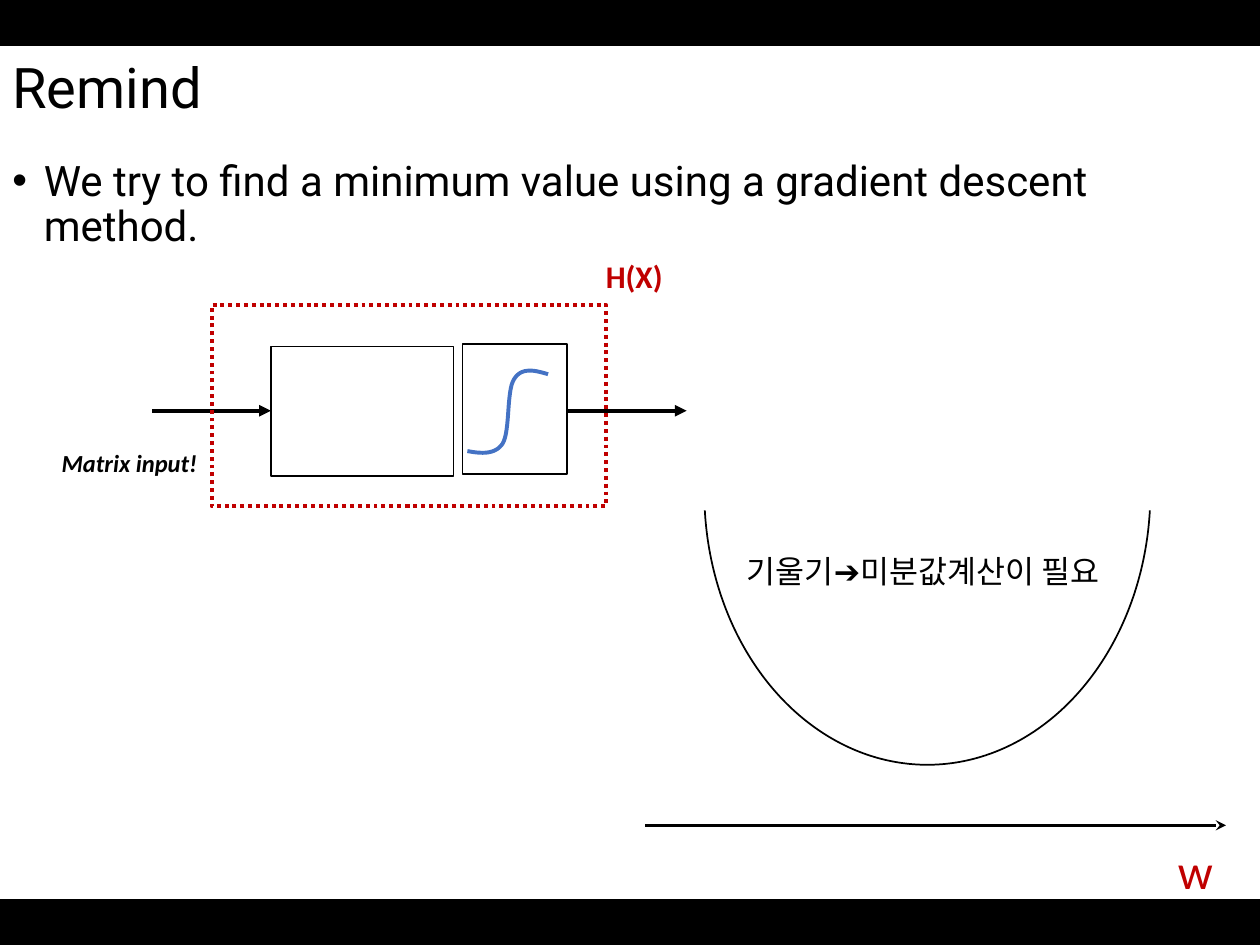
import dataclasses

import pptx
import pptx.dml.color
import pptx.enum.dml
import pptx.enum.shapes
import pptx.enum.text
import pptx.oxml.ns
import pptx.util
from pptx.util import Inches

SHAPE = pptx.enum.shapes.MSO_SHAPE


@dataclasses.dataclass(frozen=True)
class Theme:
    """Colours, fonts and type sizes of the slide."""
    black: str = "000000"
    white: str = "FFFFFF"
    red: str = "C00000"
    blue: str = "4472C4"
    head: str = "Roboto"
    label: str = "Calibri"
    title: int = 32
    body: int = 24
    axis: int = 28
    mark: int = 18
    note: int = 14


THEME = Theme()


def color(code):
    """Turn a hex code into a colour."""
    return pptx.dml.color.RGBColor.from_string(code)


def child(parent, tag, **attrs):
    """Append a drawing element to a parent."""
    node = parent.makeelement(pptx.oxml.ns.qn(tag), attrs)
    parent.append(node)
    return node


def style(shape, fill=None, line=None, width=1):
    """Set the fill and outline of a shape."""
    shape.shadow.inherit = False
    if fill:
        shape.fill.solid()
        shape.fill.fore_color.rgb = color(fill)
    else:
        shape.fill.background()
    if line:
        shape.line.color.rgb = color(line)
        shape.line.width = pptx.util.Pt(width)
    else:
        shape.line.fill.background()


def block(slide, box, kind=SHAPE.RECTANGLE, **look):
    """Add a preset shape in a box given in inches."""
    shape = slide.shapes.add_shape(kind, *map(Inches, box))
    style(shape, **look)
    return shape


def arrow(slide, start, end, width, tip):
    """Draw a line that ends in an arrowhead."""
    line = slide.shapes.add_connector(
        pptx.enum.shapes.MSO_CONNECTOR.STRAIGHT, *map(Inches, start + end))
    line.line.color.rgb = color(THEME.black)
    line.line.width = pptx.util.Pt(width)
    child(line.line._get_or_add_ln(), "a:tailEnd", type=tip)
    child(line._element.spPr, "a:effectLst")


def write(slide, box, text, size, tint=THEME.black, face=THEME.label,
          bold=False, slant=False, wrap=False, bullet=False):
    """Add a text box with one run."""
    area = slide.shapes.add_textbox(*map(Inches, box))
    frame = area.text_frame
    frame.word_wrap = wrap
    para = frame.paragraphs[0]
    if bullet:
        props = para._p.get_or_add_pPr()
        props.set("marL", str(Inches(0.25)))
        props.set("indent", str(-Inches(0.25)))
        child(props, "a:buFont", typeface="Arial")
        child(props, "a:buChar", char="•")
    run = para.add_run()
    run.text = text
    run.font.name = face
    run.font.size = pptx.util.Pt(size)
    run.font.bold = bold
    run.font.italic = slant
    run.font.color.rgb = color(tint)
    return area


def bands(slide, height):
    """Draw the black bars along the top and bottom."""
    for top in (0, 7.5 - height):
        block(slide, (0, top, 10, height), fill=THEME.black, line=THEME.black)


def header(slide, left, top, width):
    """Write the title and the bullet below it."""
    title = write(slide, (left, top, width, 0.64), "Remind", THEME.title,
                  face=THEME.head, wrap=True)
    title.text_frame.vertical_anchor = pptx.enum.text.MSO_ANCHOR.MIDDLE
    body = write(slide, (left, top + 0.82, 9.23, 5.92),
                 "We try to find a minimum value using a gradient descent method.",
                 THEME.body, face=THEME.head, wrap=True, bullet=True)
    for area in (title, body):
        area.text_frame.paragraphs[0].line_spacing = 0.9


def curve(slide, left, top):
    """Draw the S-shaped curve from cubic arcs."""
    knots = [(0, 0.64), (0.11, 0.66), (0.22, 0.67), (0.28, 0.58),
             (0.34, 0.48), (0.31, 0.16), (0.37, 0.07),
             (0.43, -0.03), (0.54, 0), (0.64, 0.03)]
    steps = 16
    points = []
    for first in range(0, len(knots) - 1, 3):
        for step in range(1, steps + 1):
            t = step / steps
            blend = ((1 - t) ** 3, 3 * t * (1 - t) ** 2, 3 * t * t * (1 - t), t ** 3)
            arc = list(zip(blend, knots[first:first + 4]))
            points.append((Inches(left + sum(b * x for b, (x, y) in arc)),
                           Inches(top + sum(b * y for b, (x, y) in arc))))
    pen = slide.shapes.build_freeform(Inches(left + knots[0][0]),
                                      Inches(top + knots[0][1]))
    pen.add_line_segments(points, close=False)
    style(pen.convert_to_shape(), line=THEME.blue, width=2.25)


def model(slide, left, top, width, height):
    """Draw the model H(X) with its input and output."""
    block(slide, (left + 0.47, top + 0.33, 1.45, 1.03), line=THEME.black)
    block(slide, (left + 1.99, top + 0.31, 0.83, 1.03), line=THEME.black)
    middle = top + 0.84
    for start, end in ((-0.47, 0.47), (2.82, 3.77)):
        arrow(slide, (left + start, middle), (left + end, middle), 2.25, "triangle")
    curve(slide, left + 2.03, top + 0.52)
    frame = block(slide, (left, top, width, height), line=THEME.red, width=2.25)
    frame.line.dash_style = pptx.enum.dml.MSO_LINE.ROUND_DOT
    write(slide, (left - 1.29, top + 1.09, 1.29, 0.34), "Matrix input!",
          THEME.note, bold=True, slant=True)
    write(slide, (left + width - 0.1, top - 0.43, 0.66, 0.4), "H(X)",
          THEME.mark, THEME.red, bold=True)


def bowl(slide, left, top, width, height):
    """Draw the lower half of an ellipse."""
    block(slide, (left, top, width, height), SHAPE.OVAL, line=THEME.black)
    block(slide, (left - 1.35, top - 0.1, 5.08, 2.41), fill=THEME.white)


def axis(slide, left, top, width):
    """Draw the weight axis and the note on the slope."""
    arrow(slide, (left, top), (left + width, top), 1.5, "stealth")
    write(slide, (left + width - 0.48, top + 0.07, 0.48, 0.57), "w",
          THEME.axis, THEME.red)
    write(slide, (left + 0.71, top - 2.22, 3.31, 0.4),
          "기울기➔미분값계산이 필요", THEME.mark)


def main():
    """Build and save the slide."""
    deck = pptx.Presentation()
    deck.slide_width, deck.slide_height = Inches(10), Inches(7.5)
    slide = deck.slides.add_slide(deck.slide_layouts[6])
    bands(slide, 0.36)
    bowl(slide, 5.59, 1.74, 3.54, 4.33)
    header(slide, 0, 0.4, 10)
    axis(slide, 5.12, 6.55, 4.61)
    model(slide, 1.68, 2.42, 3.13, 1.6)
    deck.save("out.pptx")


if __name__ == "__main__":
    main()
